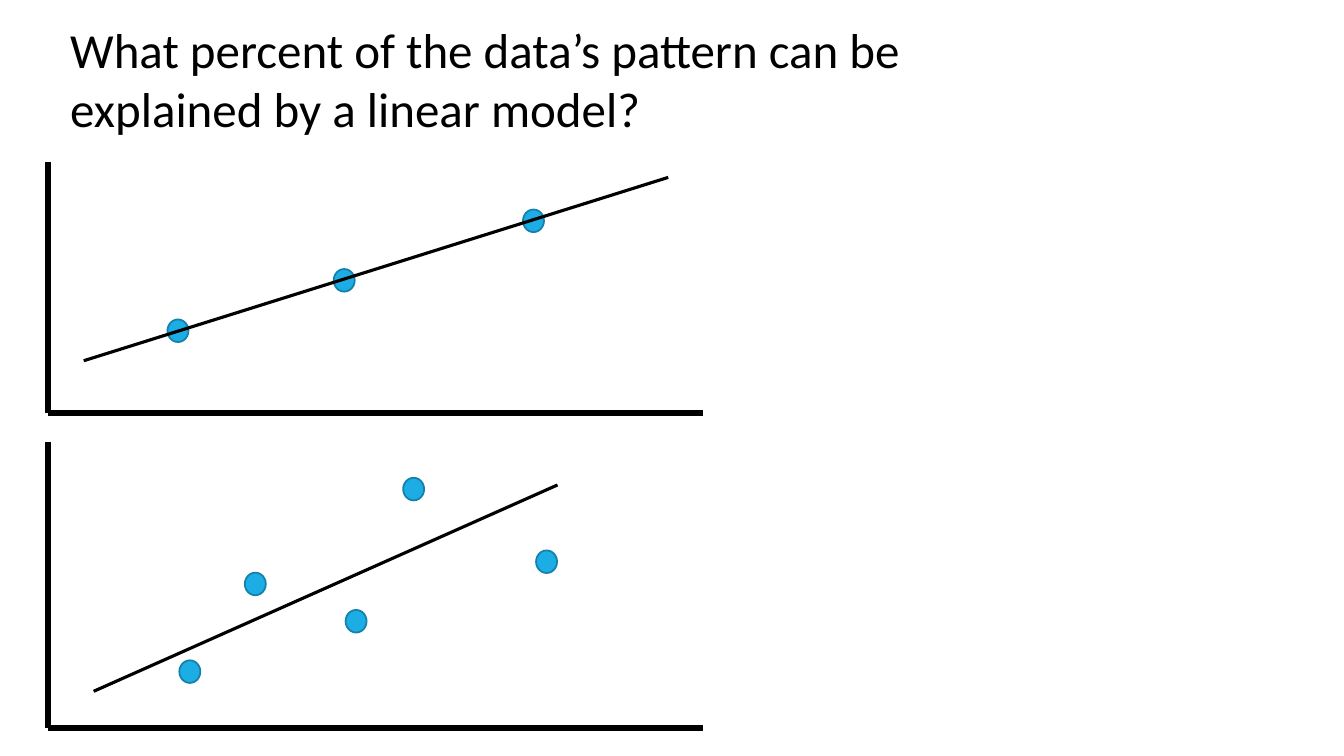
import pptx
import pptx.util
import pptx.dml.color
import pptx.enum.shapes
import pptx.oxml
from pptx.util import Cm, Pt

BLACK = pptx.dml.color.RGBColor(0x00, 0x00, 0x00)
DOT_FILL = pptx.dml.color.RGBColor(0x1C, 0xAD, 0xE4)
DOT_LINE = pptx.dml.color.RGBColor(0x15, 0x80, 0xA9)
EFFECT_LIST = ('<a:effectLst xmlns:a='
               '"http://schemas.openxmlformats.org/drawingml/2006/main"/>')

AXIS_LEFT, AXIS_RIGHT = 1.21, 17.72
AXIS_WIDTH, TREND_WIDTH = 4.5, 2.25
DOT_W, DOT_H = 0.53, 0.57


def add_line(s, start, end, width):
    line = s.shapes.add_connector(
        pptx.enum.shapes.MSO_CONNECTOR.STRAIGHT,
        Cm(start[0]), Cm(start[1]), Cm(end[0]), Cm(end[1]))
    line.line.color.rgb = BLACK
    line.line.width = Pt(width)
    line._element.spPr.append(pptx.oxml.parse_xml(EFFECT_LIST))


def add_dot(s, left, top):
    sp = s.shapes.add_shape(pptx.enum.shapes.MSO_SHAPE.OVAL,
                            Cm(left), Cm(top), Cm(DOT_W), Cm(DOT_H))
    sp.shadow.inherit = False
    sp.fill.solid()
    sp.fill.fore_color.rgb = DOT_FILL
    sp.line.color.rgb = DOT_LINE
    sp.line.width = Pt(1.25)


def add_scatter(s, top, base, dots, trend):
    """Draw two axes, the dots (left, top) and the trend line over them."""
    add_line(s, (AXIS_LEFT, top), (AXIS_LEFT, base), AXIS_WIDTH)
    add_line(s, (AXIS_RIGHT, base), (AXIS_LEFT, base), AXIS_WIDTH)
    for left, dot_top in dots:
        add_dot(s, left, dot_top)
    add_line(s, *trend, TREND_WIDTH)


def add_question(s, text):
    sp = s.shapes.add_textbox(Cm(1.52), Cm(0.36), Cm(23.34), Cm(3.25))
    tf = sp.text_frame
    tf.word_wrap = True
    r = tf.paragraphs[0].add_run()
    r.text = text
    r.font.name = "Calibri"
    r.font.size = Pt(35)
    r.font.color.rgb = BLACK


def main():
    prs = pptx.Presentation()
    prs.slide_width, prs.slide_height = Cm(33.87), Cm(19.05)
    s = prs.slides.add_slide(prs.slide_layouts[6])
    add_scatter(s, 4.09, 10.41,
                [(4.22, 8.05), (8.41, 6.78), (13.18, 5.28)],
                [(2.11, 9.09), (16.84, 4.47)])
    add_scatter(s, 11.13, 18.34,
                [(4.52, 16.64), (6.17, 14.43), (8.71, 15.37),
                 (10.16, 12.04), (13.51, 13.87)],
                [(2.36, 17.42), (14.05, 12.22)])
    add_question(s, "What percent of the data’s pattern can be "
                    "explained by a linear model?")
    prs.save("out.pptx")


if __name__ == "__main__":
    main()
